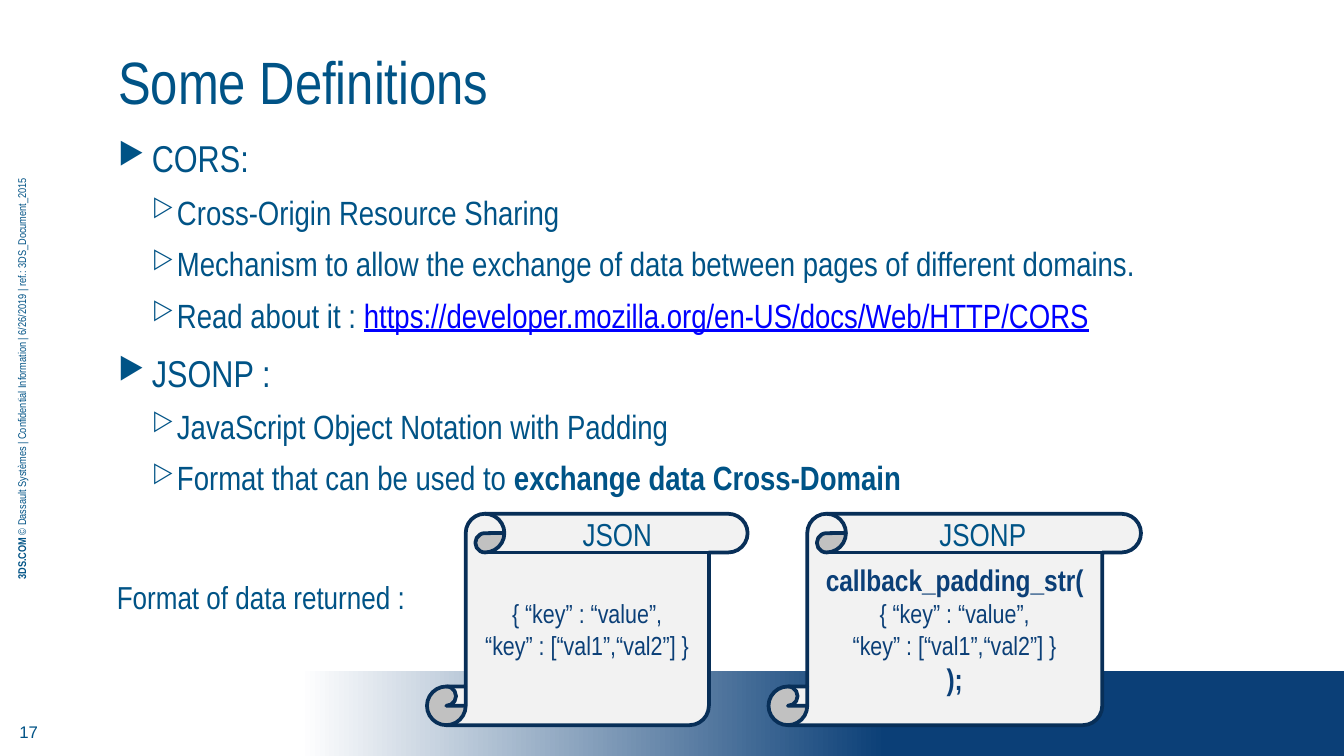
from dataclasses import dataclass, field
from lxml import etree
from pptx import Presentation, util as u
from pptx.dml.color import RGBColor
from pptx.enum import shapes, text
from pptx.oxml.ns import qn

PX = 9525
BLUE, NAVY, EDGE = "005386", "0B3F77", "082F58"
PALE, WHITE, LINK = "F2F2F2", "FFFFFF", "0000FF"
MID, TOP = text.MSO_ANCHOR.MIDDLE, text.MSO_ANCHOR.TOP
LEFT, MIDST = text.PP_ALIGN.LEFT, text.PP_ALIGN.CENTER


@dataclass
class Run:
    text: str
    size: int
    color: str = BLUE
    face: str = "Arial Narrow"
    form: dict = field(default_factory=dict)


@dataclass
class Mark:
    char: str
    left: int
    hang: int
    scale: int
    gap: int


@dataclass
class Para:
    runs: list[Run]
    mark: Mark | None = None


@dataclass
class Box:
    at: tuple[int, int, int, int]
    paras: list[Para]
    align: int = LEFT
    anchor: int = TOP
    turn: int = 0


@dataclass
class Scroll:
    left: int
    width: int
    paras: list[Para]
    name: str
    tab: int


def px(n: int) -> int:
    return u.Emu(n * PX)


def rgb(code: str) -> RGBColor:
    return RGBColor.from_string(code)


def apply(item, vals: dict) -> None:
    for key, val in vals.items():
        setattr(item, key, val)


def bullet(para, mark: Mark) -> None:
    props = para._p.get_or_add_pPr()
    props.set("marL", str(px(mark.left)))
    props.set("indent", str(-px(mark.hang)))
    tint = etree.SubElement(props, qn("a:buClr"))
    etree.SubElement(tint, qn("a:srgbClr"), val=BLUE)
    etree.SubElement(props, qn("a:buSzPct"), val=str(mark.scale * 1000))
    etree.SubElement(props, qn("a:buChar"), char=mark.char)


def write(frame, paras: list[Para], align: int, anchor: int) -> None:
    apply(frame, {"word_wrap": True, "vertical_anchor": anchor})
    for i, item in enumerate(paras):
        para = frame.add_paragraph() if i else frame.paragraphs[0]
        if item.mark:
            bullet(para, item.mark)
            para.space_before = u.Pt(item.mark.gap if i else 0)
        para.alignment = align
        for part in item.runs:
            run = para.add_run()
            run.text = part.text
            apply(run.font, {"size": u.Pt(part.size), "name": part.face, **part.form})
            run.font.color.rgb = rgb(part.color)


def label(slide, box: Box) -> None:
    shape = slide.shapes.add_textbox(*map(px, box.at))
    shape.rotation = box.turn
    write(shape.text_frame, box.paras, box.align, box.anchor)


def band(slide) -> None:
    shape = slide.shapes.add_shape(
        shapes.MSO_SHAPE.RECTANGLE, *map(px, (141, 479, 819, 61)))
    shape.shadow.inherit = False
    shape.line.fill.background()
    shape.fill.gradient()
    shape.fill.gradient_angle = 0
    for stop, (spot, code) in zip(shape.fill.gradient_stops, ((0.09, WHITE), (0.6, NAVY))):
        stop.position = spot
        stop.color.rgb = rgb(code)


def scroll(slide, item: Scroll) -> None:
    shape = slide.shapes.add_shape(
        shapes.MSO_SHAPE.VERTICAL_SCROLL, *map(px, (item.left, 367, item.width, 151)))
    shape.adjustments[0] = 0.183
    shape.shadow.inherit = False
    shape.fill.solid()
    shape.fill.fore_color.rgb = rgb(PALE)
    shape.line.color.rgb = rgb(EDGE)
    shape.line.width = u.Pt(2)
    write(shape.text_frame, item.paras, MIDST, MID)
    label(slide, Box((item.tab, 363, 88, 37), [Para([Run(item.name, 17)])], MIDST))


def head(words: str) -> Para:
    return Para([Run(words, 20)], Mark("▶", 24, 24, 80, 8))


def sub(words: str, *more: Run) -> Para:
    return Para([Run(words, 18), *more], Mark("▷", 42, 18, 75, 6))


def code(words: str, size: int = 14, bold: bool = False) -> Para:
    return Para([Run(words, size, NAVY, form={"bold": bold})])


BODY = [
    head("CORS:"),
    sub("Cross-Origin Resource Sharing"),
    sub("Mechanism to allow the exchange of data between pages of different domains."),
    sub("Read about it : ",
        Run("https://developer.mozilla.org/en-US/docs/Web/HTTP/CORS", 18, LINK,
            form={"underline": True})),
    head("JSONP :"),
    sub("JavaScript Object Notation with Padding"),
    sub("Format that can be used to ",
        Run("exchange data Cross-Domain", 18, form={"bold": True})),
]
FOOT = Para([
    Run("3DS.COM ", 6, form={"bold": True}),
    Run("© Dassault Systèmes | Confidential Information | 6/26/2019 | ref.: 3DS_Document_2015", 6),
])
BOXES = [
    Box((0, 504, 41, 37), [Para([Run("17", 9, face="Arial")])], MIDST, MID),
    Box((-255, 261, 541, 19), [FOOT], MIDST, turn=270),
    Box((75, 38, 831, 39), [Para([Run("Some Definitions", 32)])], anchor=MID),
    Box((75, 92, 831, 387), BODY),
]
NOTE = Box((74, 408, 239, 37), [Para([Run("Format of data returned :", 17)])])
DATA = [code("{ “key” : “value”,"), code("“key” : [“val1”,“val2”] }")]
CALL = [code("callback_padding_str(", 16, True), *DATA, code(");", 16, True)]
SCROLLS = [
    Scroll(305, 229, DATA, "JSON", 397),
    Scroll(549, 266, CALL, "JSONP", 658),
]


def main() -> None:
    deck = Presentation()
    apply(deck, {"slide_width": px(960), "slide_height": px(540)})
    slide = deck.slides.add_slide(deck.slide_layouts[6])
    band(slide)
    for box in BOXES:
        label(slide, box)
    for item in SCROLLS:
        scroll(slide, item)
    label(slide, NOTE)
    deck.save("out.pptx")


if __name__ == "__main__":
    main()
